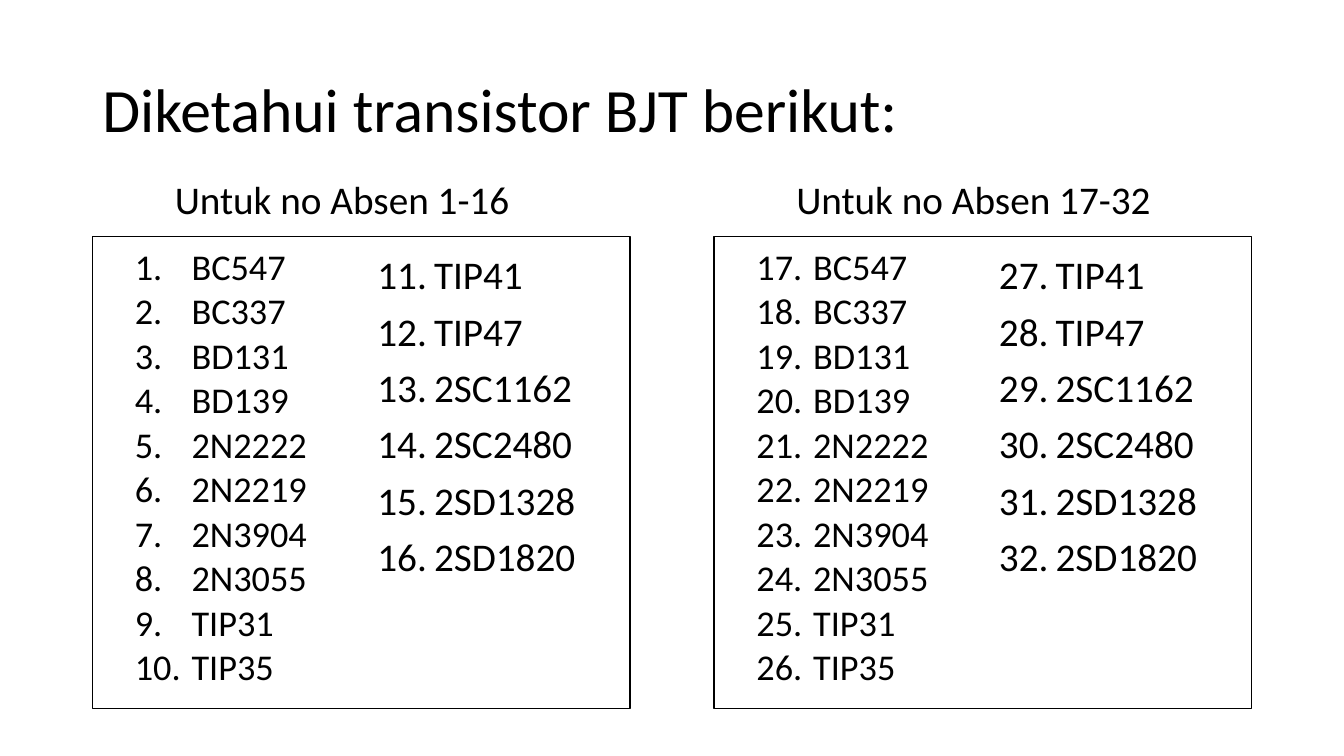
import pptx
import pptx.dml.color
import pptx.enum.shapes
import pptx.enum.text
import pptx.oxml.ns
import pptx.util
from lxml import etree

PX = 9525
FONT = "Calibri"
COLORS = {"ink": "000000", "paper": "FFFFFF"}
GROUP_STEP = 592
LIST_TOP, LIST_HEIGHT = 239, 457
INDENT = 54
FIRST_PARTS = ["BC547", "BC337", "BD131", "BD139", "2N2222",
               "2N2219", "2N3904", "2N3055", "TIP31", "TIP35"]
SECOND_PARTS = ["TIP41", "TIP47", "2SC1162", "2SC2480", "2SD1328", "2SD1820"]
GROUPS = [("Untuk no Absen 1-16", 1), ("Untuk no Absen 17-32", 17)]


def px(*lengths):
    return [pptx.util.Emu(n * PX) for n in lengths]


def color(name):
    return pptx.dml.color.RGBColor.from_string(COLORS[name])


def number_paragraph(p, start):
    """Give a paragraph automatic "1." numbering with a hanging indent."""
    pPr = p._p.get_or_add_pPr()
    pPr.set("marL", str(INDENT * PX))
    pPr.set("indent", str(-INDENT * PX))
    etree.SubElement(pPr, pptx.oxml.ns.qn("a:buFont"), typeface="+mj-lt")
    etree.SubElement(pPr, pptx.oxml.ns.qn("a:buAutoNum"),
                     type="arabicPeriod", startAt=str(start))


def add_text(s, lines, box, size=28, spacing=None, before=0, start=None,
             wrap=True, middle=False):
    """Add one paragraph per line; start numbers them from that value."""
    tf = s.shapes.add_textbox(*px(*box)).text_frame
    tf.word_wrap = wrap
    if not wrap:
        tf.auto_size = pptx.enum.text.MSO_AUTO_SIZE.SHAPE_TO_FIT_TEXT
    if middle:
        tf.vertical_anchor = pptx.enum.text.MSO_ANCHOR.MIDDLE
    for i, line in enumerate(lines):
        p = tf.add_paragraph() if i else tf.paragraphs[0]
        if spacing:
            p.line_spacing = spacing
        if i and before:
            p.space_before = pptx.util.Pt(before)
        if start:
            number_paragraph(p, start)
        r = p.add_run()
        r.text = line
        r.font.name = FONT
        r.font.size = pptx.util.Pt(size)
        r.font.color.rgb = color("ink")


def add_frame(s, box):
    sp = s.shapes.add_shape(pptx.enum.shapes.MSO_SHAPE.RECTANGLE, *px(*box))
    sp.shadow.inherit = False
    sp.fill.background()
    sp.line.color.rgb = color("ink")
    sp.line.width = pptx.util.Pt(1)


def add_group(s, heading, start, x):
    """Add a framed pair of numbered part lists under a heading."""
    add_text(s, FIRST_PARTS, (x + 31, LIST_TOP, 232, LIST_HEIGHT),
             size=25.9, spacing=0.7, before=10, start=start)
    add_text(s, SECOND_PARTS, (x + 262, LIST_TOP, 227, LIST_HEIGHT),
             spacing=0.9, before=10, start=start + len(FIRST_PARTS))
    add_frame(s, (x, 225, 512, 450))
    # The second heading is wider by one digit.
    width = 343 if start == 1 else 362
    add_text(s, [heading], (x + 69, 162, width, 55), wrap=False)


def main():
    prs = pptx.Presentation()
    prs.slide_width, prs.slide_height = px(1280, 720)
    s = prs.slides.add_slide(prs.slide_layouts[6])
    s.background.fill.solid()
    s.background.fill.fore_color.rgb = color("paper")
    add_text(s, ["Diketahui transistor BJT berikut:"], (88, 38, 1104, 139),
             size=44, spacing=0.9, middle=True)
    for i, (heading, start) in enumerate(GROUPS):
        add_group(s, heading, start, 88 + i * GROUP_STEP)
    prs.save("out.pptx")


if __name__ == "__main__":
    main()
